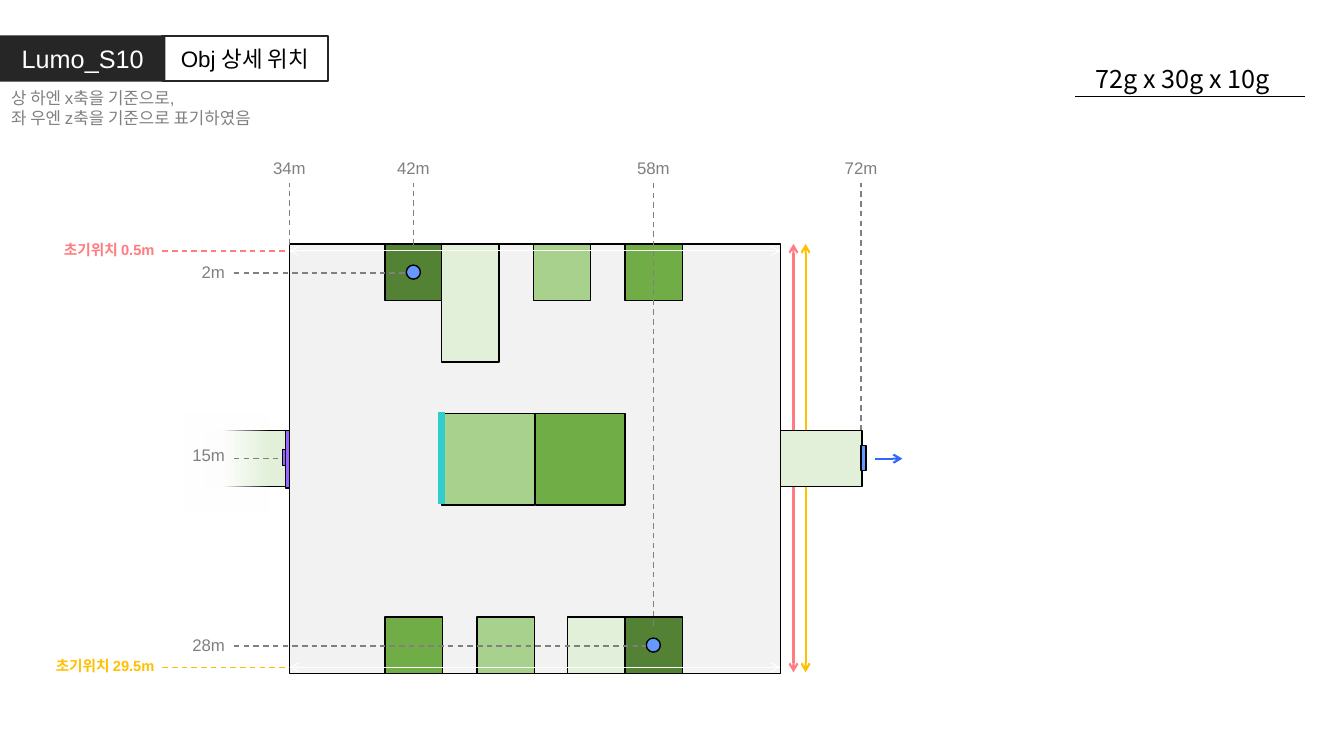
"""Draw the object position plan of the Lumo_S10 room."""
from dataclasses import dataclass

from lxml.etree import SubElement
from pptx import Presentation
from pptx.dml.color import RGBColor
from pptx.enum.dml import MSO_LINE_DASH_STYLE as Dash
from pptx.enum.shapes import MSO_CONNECTOR_TYPE as Link, MSO_SHAPE as Form
from pptx.enum.text import MSO_ANCHOR as Anchor, MSO_AUTO_SIZE as Fit, PP_ALIGN as Align
from pptx.oxml.ns import qn
from pptx.util import Inches, Pt


@dataclass(frozen=True)
class Theme:
    latin: str = "Arial"
    korean: str = "Noto Sans CJK KR"
    black: str = "000000"
    white: str = "FFFFFF"
    dark: str = "262626"
    grey: str = "808080"
    floor: str = "F2F2F2"
    pale: str = "E2F0D9"
    light: str = "A9D18E"
    mid: str = "70AD47"
    deep: str = "548235"
    purple: str = "9966FF"
    blue: str = "6699FF"
    exit_blue: str = "3366FF"
    cyan: str = "33CCCC"
    red: str = "FF7C80"
    amber: str = "FFC000"
    heading: float = 18
    subheading: float = 16
    label: float = 12
    start: float = 10.5
    thin: float = 0.75
    edge: float = 1
    strong: float = 1.5
    wall: float = 4.5


def apply(target, values):
    for name, value in values.items():
        setattr(target, name, value)


class Plan:
    def __init__(self, slide, theme):
        self.slide, self.theme = slide, theme

    def set_text(self, holder, text, size, color, align=Align.CENTER, bold=False,
                 font=None, anchor=Anchor.TOP):
        frame = holder.text_frame
        apply(frame, dict(text=text, word_wrap=True, auto_size=Fit.NONE, vertical_anchor=anchor,
                          margin_left=Inches(0.1), margin_right=Inches(0.1),
                          margin_top=Inches(0.05), margin_bottom=Inches(0.05)))
        for paragraph in frame.paragraphs:
            apply(paragraph, dict(alignment=align, space_before=Pt(0), line_spacing=1.0))
            for run in paragraph.runs:
                apply(run.font, dict(name=font or self.theme.latin, size=Pt(size), bold=bold))
                run.font.color.rgb = RGBColor.from_string(color)

    def place(self, holder, left, top, width, height):
        apply(holder, dict(left=Inches(left), top=Inches(top),
                           width=Inches(width), height=Inches(height)))

    def title(self, text, box):
        holder = self.slide.shapes.title
        self.place(holder, *box)
        holder.fill.solid()
        holder.fill.fore_color.rgb = RGBColor.from_string(self.theme.dark)
        self.set_text(holder, text, self.theme.heading, self.theme.white, anchor=Anchor.MIDDLE)

    def body(self, text, box):
        holder = self.slide.placeholders[1]
        self.place(holder, *box)
        self.set_text(holder, text, self.theme.label, self.theme.grey, Align.LEFT)
        for paragraph in holder.text_frame.paragraphs:
            properties = paragraph._p.get_or_add_pPr()
            properties.set("marL", "0")
            properties.set("indent", "0")
            SubElement(properties, qn("a:buNone"))

    def label(self, text, box, size=None, color=None, **style):
        holder = self.slide.shapes.add_textbox(*map(Inches, box))
        self.set_text(holder, text, size or self.theme.label, color or self.theme.grey, **style)

    def block(self, box, fill=None, edge=None, width=None, form=Form.RECTANGLE):
        part = self.slide.shapes.add_shape(form, *map(Inches, box))
        part.shadow.inherit = False
        if fill:
            part.fill.solid()
            part.fill.fore_color.rgb = RGBColor.from_string(fill)
        else:
            part.fill.background()
        part.line.color.rgb = RGBColor.from_string(edge or self.theme.black)
        part.line.width = Pt(width or self.theme.edge)
        return part

    def fade(self, box):
        veil = self.block(box)
        veil.line.fill.background()
        veil.fill.gradient()
        veil.fill.gradient_angle = 180
        for stop, position in zip(veil.fill.gradient_stops, (0, 0.55)):
            stop.position = position
            stop.color.rgb = RGBColor.from_string(self.theme.white)
        clear = next(veil._element.spPr.iter(qn("a:srgbClr")))
        SubElement(clear, qn("a:alpha"), val="0")

    def line(self, start, end, color=None, width=None, dashed=False, arrows=()):
        link = self.slide.shapes.add_connector(Link.STRAIGHT, *map(Inches, (*start, *end)))
        link.line.color.rgb = RGBColor.from_string(color or self.theme.grey)
        link.line.width = Pt(width or self.theme.edge)
        if dashed:
            link.line.dash_style = Dash.DASH
        for end_tag in arrows:
            SubElement(link.line._get_or_add_ln(), qn(f"a:{end_tag}"), type="arrow")
        SubElement(link._element.spPr, qn("a:effectLst"))


theme = Theme()
deck = Presentation()
deck.slide_width, deck.slide_height = Inches(13.33), Inches(7.5)
plan = Plan(deck.slides.add_slide(deck.slide_layouts[1]), theme)
both_ends = ("headEnd", "tailEnd")
room_left, room_right, room_top, room_bottom = 2.87, 7.74, 2.42, 6.68
crate_width, crate_height = 0.57, 0.56
corridor_top, corridor_middle = 4.27, 4.55
bottom_row = room_bottom - crate_height

plan.title("Lumo_S10", (0, 0.35, 1.64, 0.46))
plan.body("상 하엔 x축을 기준으로,\n좌 우엔 z축을 기준으로 표기하였음", (0.01, 0.82, 3.16, 0.5))

plan.block((room_left, room_top, room_right - room_left, room_bottom - room_top), theme.floor)
plan.block((2.03, corridor_top, 0.81, crate_height), theme.pale)
plan.fade((1.83, 4.09, 0.84, 1))
plan.block((2.8, 4.46, 0.04, 0.16), theme.purple)
plan.block((2.83, corridor_top, 0.04, 0.57), theme.purple)

for left, top, height, shade in (
        (3.82, room_top, crate_height, theme.deep), (4.38, room_top, 1.17, theme.pale),
        (5.29, room_top, crate_height, theme.light), (6.2, room_top, crate_height, theme.mid),
        (4.73, bottom_row, crate_height, theme.light), (5.63, bottom_row, crate_height, theme.pale),
        (3.82, bottom_row, crate_height, theme.mid), (6.2, bottom_row, crate_height, theme.deep)):
    plan.block((left, top, crate_width, height), shade)
plan.block((4.38, 4.1, 0.92, 0.91), theme.light)
plan.block((5.31, 4.1, 0.89, 0.91), theme.mid)

for track_z, mover_x, color, start_text in ((6.62, 7.99, theme.amber, "초기위치 29.5m"),
                                            (2.49, 7.87, theme.red, "초기위치 0.5m")):
    plan.line((room_left, track_z), (room_right, track_z), theme.white, theme.thin, arrows=both_ends)
    plan.line((mover_x, 6.67), (mover_x, room_top), color, theme.strong, arrows=both_ends)
    plan.line((1.61, track_z), (2.83, track_z), color, dashed=True)
    plan.label(start_text, (0.22, track_z - 0.15, 1.41, 0.29), theme.start, color,
               align=Align.RIGHT, bold=True)

plan.block((room_right, corridor_top, 0.81, crate_height), theme.pale)
plan.line((8.68, corridor_middle), (8.95, corridor_middle), theme.exit_blue, theme.strong,
          arrows=("tailEnd",))
plan.block((8.54, 4.42, 0.05, 0.25), theme.blue)
for marker_x, marker_z in ((4.03, 2.63), (6.41, 6.33)):
    plan.block((marker_x, marker_z, 0.14, 0.14), theme.blue, form=Form.OVAL)
plan.line((4.38, 4.09), (4.38, 5), theme.cyan, theme.wall)

for distance, x, guide_end in (("34m", room_left, 2.43), ("42m", 4.1, 2.43),
                               ("58m", 6.48, 6.21), ("72m", 8.54, corridor_top)):
    plan.label(distance, (x - 0.29, 1.52, 0.58, 0.3))
    plan.line((x, guide_end), (x, 1.82), dashed=True)
for distance, z, label_top, guide_end in (("2m", 2.71, 2.55, 4.02), ("15m", corridor_middle, 4.36, 2.83),
                                          ("28m", 6.41, 6.25, 6.41)):
    plan.label(distance, (1.75, label_top, 0.58, 0.3), align=Align.RIGHT)
    plan.line((2.32, z), (guide_end, z), dashed=True)

heading_box = plan.block((1.61, 0.36, 1.64, 0.44), edge=theme.dark, width=theme.strong)
plan.set_text(heading_box, "Obj 상세 위치", theme.subheading, theme.black, anchor=Anchor.MIDDLE)
plan.line((10.66, 0.96), (12.94, 0.96), theme.black)
plan.label("72g x 30g x 10g", (10.63, 0.58, 2.2, 0.4), theme.heading, theme.black, font=theme.korean)

deck.save("out.pptx")
